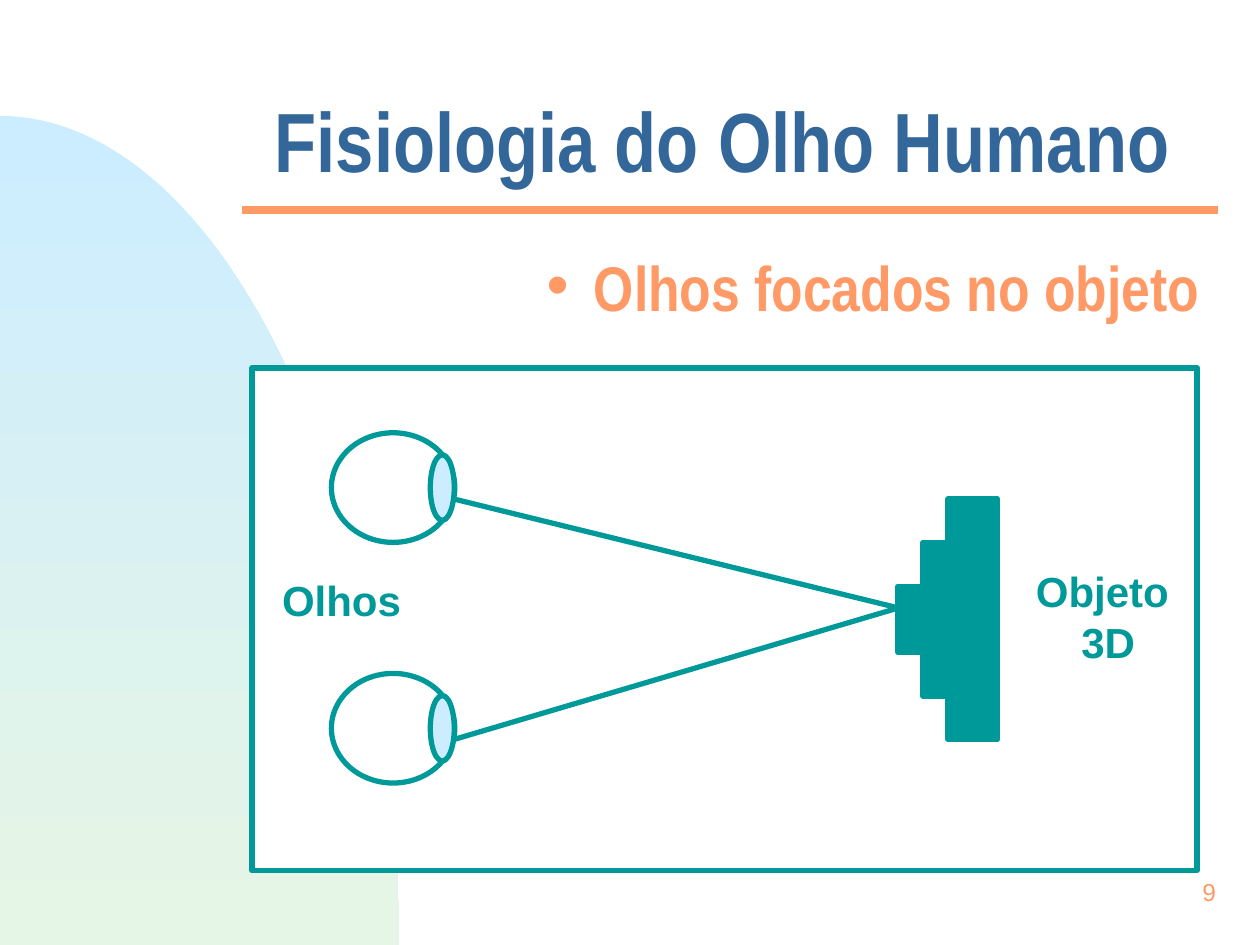
from math import cos, pi, sin

from lxml import etree
from pptx import Presentation
from pptx.dml.color import RGBColor
from pptx.enum.shapes import MSO_CONNECTOR, MSO_SHAPE
from pptx.enum.text import MSO_ANCHOR, MSO_AUTO_SIZE, PP_ALIGN
from pptx.oxml.ns import qn
from pptx.util import Inches, Pt

LEFT, CENTER, RIGHT = PP_ALIGN.LEFT, PP_ALIGN.CENTER, PP_ALIGN.RIGHT
MIDDLE, TOP = MSO_ANCHOR.MIDDLE, MSO_ANCHOR.TOP
NO_AUTOFIT = MSO_AUTO_SIZE.NONE
RECTANGLE, OVAL = MSO_SHAPE.RECTANGLE, MSO_SHAPE.OVAL
STRAIGHT = MSO_CONNECTOR.STRAIGHT
TEAL, ORANGE, BLUE, SKY, MINT, WHITE = "009999", "FF9966", "336699", "CCECFF", "E6F6E6", "FFFFFF"


def color(value):
    """Return the colour for a hex string."""
    return RGBColor.from_string(value)


def place(shape, box):
    """Move and size a shape to a box given in inches."""
    shape.left, shape.top, shape.width, shape.height = (Inches(value) for value in box)


def write(shape, lines, size, ink, alignment, font="Arial", bold=True, anchor=TOP,
          spacing=1.0, wrap=True):
    """Fill a text shape with evenly formatted paragraphs."""
    frame = shape.text_frame
    frame.auto_size = NO_AUTOFIT
    frame.word_wrap = wrap
    frame.vertical_anchor = anchor
    frame.text = "\n".join(lines)
    for paragraph in frame.paragraphs:
        paragraph.alignment = alignment
        paragraph.line_spacing = spacing
        paragraph.space_before = Pt(0)
        paragraph.font.name = font
        paragraph.font.size = Pt(size)
        paragraph.font.bold = bold
        paragraph.font.color.rgb = color(ink)


def add_label(slide, box, lines, size, ink, alignment, **options):
    """Add a text box with formatted text."""
    label = slide.shapes.add_textbox(*(Inches(value) for value in box))
    write(label, lines, size, ink, alignment, **options)


def add_centered(slide, kind, center_x, center_y, width, height, fill=None):
    """Add a teal-outlined shape around a centre point."""
    shape = slide.shapes.add_shape(kind, 0, 0, 0, 0)
    place(shape, (center_x - width / 2, center_y - height / 2, width, height))
    shape.shadow.inherit = False
    if fill:
        shape.fill.solid()
        shape.fill.fore_color.rgb = color(fill)
    else:
        shape.fill.background()
    shape.line.color.rgb = color(TEAL)
    shape.line.width = Pt(3)


def add_line(slide, start, end, ink, weight):
    """Add a straight line between two points in inches."""
    line = slide.shapes.add_connector(STRAIGHT, *(Inches(value) for value in (*start, *end)))
    line.line.color.rgb = color(ink)
    line.line.width = Pt(weight)
    etree.SubElement(line._element.spPr, qn("a:effectLst"))


def add_hill(slide, left, top, width, height):
    """Add the quarter-ellipse background with a vertical gradient."""
    steps = 60
    angles = [pi / 2 * step / steps for step in range(steps + 1)]
    arc = [(Inches(left + width * sin(angle)), Inches(top + height * (1 - cos(angle))))
           for angle in angles]
    builder = slide.shapes.build_freeform(*arc[0])
    builder.add_line_segments(arc[1:] + [(Inches(left), Inches(top + height))], close=True)
    hill = builder.convert_to_shape()
    hill.shadow.inherit = False
    hill.line.fill.background()
    hill.fill.gradient()
    hill.fill.gradient_angle = 270
    for stop, value in zip(hill.fill.gradient_stops, (SKY, MINT)):
        stop.color.rgb = color(value)


def add_heading(slide, left, top, width):
    """Set the title and subtitle with the rule between them."""
    title, subtitle = slide.shapes.title, slide.placeholders[1]
    place(title, (left + 0.16, top, 7.33, 1.25))
    write(title, ["Fisiologia do Olho Humano"], 48, BLUE, LEFT,
          font="Arial Narrow", anchor=MIDDLE, spacing=0.7)
    place(subtitle, (left - 0.47, top + 1.14, 8.17, 1.25))
    properties = subtitle.text_frame.paragraphs[0]._p.get_or_add_pPr()
    properties.set("marL", "0")
    properties.set("indent", "0")
    etree.SubElement(properties, qn("a:buNone"))
    write(subtitle, ["Olhos focados no objeto"], 36, ORANGE, RIGHT,
          font="Arial Narrow", anchor=MIDDLE, spacing=0.7)
    add_line(slide, (left, top + 1.09), (left + width, top + 1.09), ORANGE, 4.5)


def add_focus_diagram(slide, left, top, width, height):
    """Draw two eyes whose sight lines meet on a stepped object."""
    middle = top + height / 2
    add_centered(slide, RECTANGLE, left + width / 2, middle, width, height, WHITE)
    focus = (left + 5.13, middle - 0.09)
    for eye_y in (top + 0.95, top + 2.86):
        add_centered(slide, OVAL, left + 1.12, eye_y, 0.98, 0.87)
        add_centered(slide, OVAL, left + 1.51, eye_y, 0.19, 0.52, SKY)
        add_line(slide, focus, (left + 1.6, eye_y + 0.09), TEAL, 3)
    for step_x, step_width, step_height in ((5.42, 0.59, 0.52), (5.72, 0.39, 1.91), (5.52, 0.39, 1.22)):
        add_centered(slide, RECTANGLE, left + step_x, middle, step_width, step_height, TEAL)
    add_label(slide, (left + 0.14, top + 1.59, 1.14, 0.5), ["Olhos"], 24, TEAL, LEFT, wrap=False)
    add_label(slide, (left + 6.12, top + 1.52, 1.35, 0.9), ["Objeto ", "3D"], 24, TEAL, CENTER,
              wrap=False)


def main():
    """Build and save the presentation."""
    presentation = Presentation()
    presentation.slide_width, presentation.slide_height = Inches(10), Inches(7.5)
    slide = presentation.slides.add_slide(presentation.slide_layouts[1])
    add_hill(slide, 0, 0.92, 3.17, 6.58)
    add_heading(slide, 1.92, 0.58, 7.75)
    add_focus_diagram(slide, 2, 2.92, 7.5, 3.99)
    add_label(slide, (7.67, 6.83, 2.08, 0.5), ["9"], 14, ORANGE, RIGHT, bold=False, anchor=MIDDLE)
    presentation.save("out.pptx")


if __name__ == "__main__":
    main()
